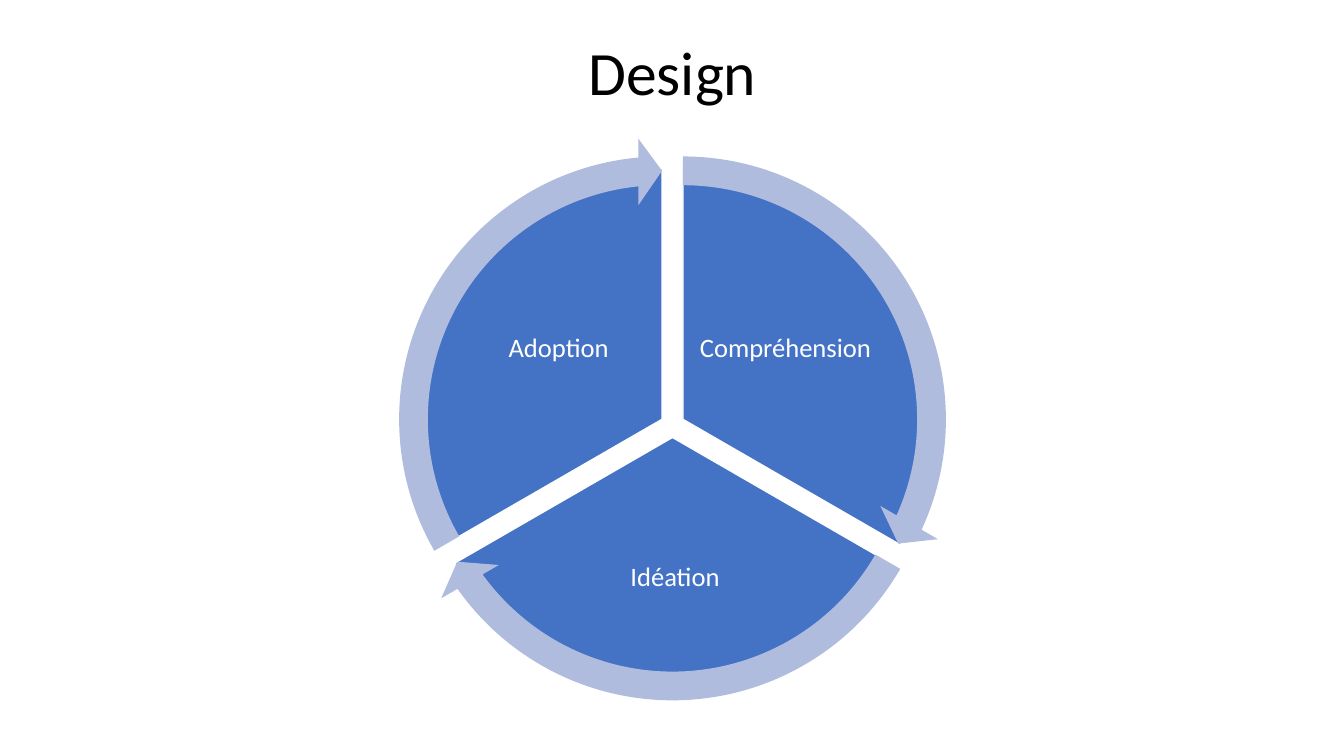
import math

import pptx
import pptx.dml.color
import pptx.enum.shapes
import pptx.enum.text
import pptx.util

Inches, Pt = pptx.util.Inches, pptx.util.Pt
RGBColor = pptx.dml.color.RGBColor
MSO_SHAPE = pptx.enum.shapes.MSO_SHAPE
PP_ALIGN = pptx.enum.text.PP_ALIGN
MSO_ANCHOR = pptx.enum.text.MSO_ANCHOR

# Content: label and its box (left, top, width, height), clockwise from the top
TITLE = "Design"
STEPS = [
    ("Compréhension", (6.9, 2.72, 1.78, 1.48)),
    ("Idéation", (5.36, 5.08, 2.67, 1.3)),
    ("Adoption", (4.65, 2.72, 1.78, 1.48)),
]

BLACK = RGBColor(0x00, 0x00, 0x00)
WHITE = RGBColor(0xFF, 0xFF, 0xFF)
BLUE = RGBColor(0x44, 0x72, 0xC4)
PALE_BLUE = RGBColor(0xB0, 0xBC, 0xDE)
FONT = "Calibri"

# Cycle geometry: each sector is pushed out from the hub along its bisector
HUB_X, HUB_Y, PUSH = 6.67, 4.22, 0.12
PIE_SIZE, ARROW_SIZE = 4.98, 5.59
SWEEP = 360 / len(STEPS)
ARROW_WIDTH, HEAD_WIDTH = 0.051, 0.059
HEAD_ANGLE, HEAD_SETBACK = 5.46, 5.46
DEGREE = 0.6  # one degree in adjustment units


def set_text(tf, text, size, color):
    tf.word_wrap = True
    tf.vertical_anchor = MSO_ANCHOR.MIDDLE
    p = tf.paragraphs[0]
    p.text = text
    p.alignment = PP_ALIGN.CENTER
    p.line_spacing = 0.9
    p.font.name, p.font.size, p.font.color.rgb = FONT, Pt(size), color


def add_round(shapes, kind, center, size, adjustments, color):
    x, y = center
    sp = shapes.add_shape(kind, Inches(x - size / 2), Inches(y - size / 2),
                          Inches(size), Inches(size))
    for i, value in enumerate(adjustments):
        sp.adjustments[i] = value
    sp.shadow.inherit = False
    sp.fill.solid()
    sp.fill.fore_color.rgb = color
    sp.line.fill.background()
    return sp


prs = pptx.Presentation()
prs.slide_width, prs.slide_height = Inches(13.33), Inches(7.5)
slide = prs.slides.add_slide(prs.slide_layouts[5])

# Title
title = slide.shapes.title
title.left, title.top = Inches(0.92), Inches(0.02)
title.width, title.height = Inches(11.5), Inches(1.45)
set_text(title.text_frame, TITLE, 44, BLACK)

# Sectors with their labels
cycle = slide.shapes.add_group_shape().shapes
arcs = []
for i, (label, box) in enumerate(STEPS):
    start = (270 + i * SWEEP) % 360
    end = (start + SWEEP) % 360
    middle = math.radians(start + SWEEP / 2)
    center = (HUB_X + PUSH * math.cos(middle), HUB_Y + PUSH * math.sin(middle))
    arcs.append((center, start, end))

    pie = add_round(cycle, MSO_SHAPE.PIE, center, PIE_SIZE,
                    (start * DEGREE, end * DEGREE), BLUE)
    pie.line.color.rgb = WHITE
    pie.line.width = Pt(1)

    tf = cycle.add_textbox(*map(Inches, box)).text_frame
    tf.margin_left = tf.margin_right = Inches(0.03)
    tf.margin_top = tf.margin_bottom = Inches(0.03)
    set_text(tf, label, 19, WHITE)

# Arrows around the sectors, in front of them
for center, start, end in arcs:
    add_round(cycle, MSO_SHAPE.CIRCULAR_ARROW, center, ARROW_SIZE,
              (ARROW_WIDTH, HEAD_ANGLE * DEGREE, (end - HEAD_SETBACK) * DEGREE,
               start * DEGREE, HEAD_WIDTH), PALE_BLUE)

prs.save("out.pptx")
